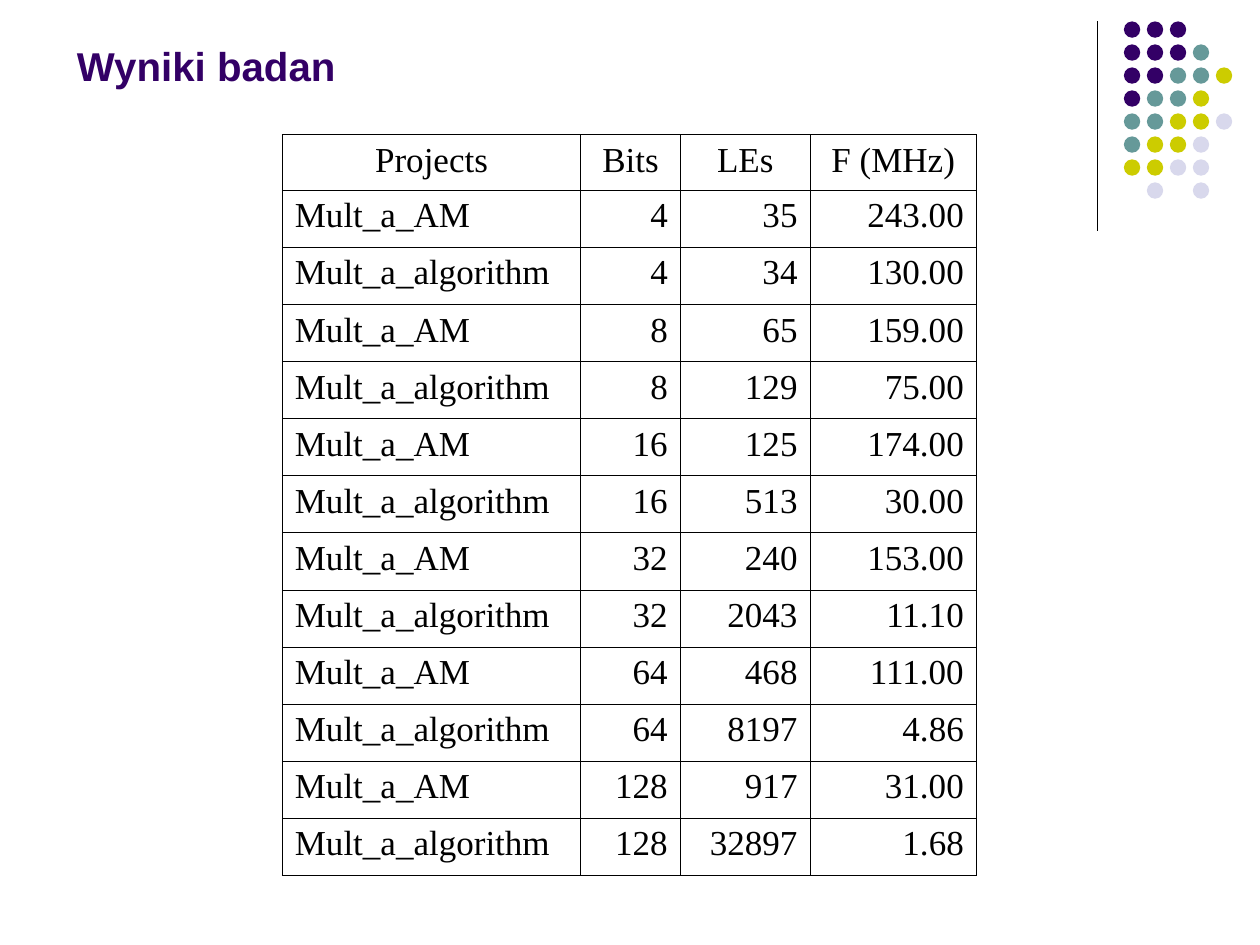
from lxml import etree
from pptx import Presentation
from pptx.dml.color import RGBColor
from pptx.enum import shapes, text
from pptx.oxml import ns
from pptx.util import Inches, Pt

TITLE = "Wyniki badan"
HEADINGS = ("Projects", "Bits", "LEs", "F (MHz)")
RESULTS = [
    ("Mult_a_AM", "4", "35", "243.00"),
    ("Mult_a_algorithm", "4", "34", "130.00"),
    ("Mult_a_AM", "8", "65", "159.00"),
    ("Mult_a_algorithm", "8", "129", "75.00"),
    ("Mult_a_AM", "16", "125", "174.00"),
    ("Mult_a_algorithm", "16", "513", "30.00"),
    ("Mult_a_AM", "32", "240", "153.00"),
    ("Mult_a_algorithm", "32", "2043", "11.10"),
    ("Mult_a_AM", "64", "468", "111.00"),
    ("Mult_a_algorithm", "64", "8197", "4.86"),
    ("Mult_a_AM", "128", "917", "31.00"),
    ("Mult_a_algorithm", "128", "32897", "1.68"),
]
COLUMN_WIDTHS = (2.37, 0.79, 1.03, 1.32)
TABLE_LEFT, TABLE_TOP, TABLE_HEIGHT, HEADING_HEIGHT = 2.24, 1.07, 5.88, 0.44

# One letter per dot, a space where the grid is empty
DOT_ROWS = ("PPP", "PPPT", "PPTTY", "PTTY", "TTYYL", "TYYL", "YYLL", " L L")
DOT_COLORS = {"P": "330066", "T": "669999", "Y": "CCCC00", "L": "D8D8EC"}
DOT_LEFT, DOT_TOP, DOT_SIZE = 8.92, 0.17, 0.13
DOT_PITCH = 0.73 / 4


def rgb(color):
    return RGBColor.from_string(color)


def add_run(paragraph, words, font_name, size, color, bold=False):
    run = paragraph.add_run()
    run.text = words
    font = run.font
    font.name, font.size, font.bold = font_name, Pt(size), bold
    font.color.rgb = rgb(color)


def add_divider(slide):
    divider = slide.shapes.add_connector(
        shapes.MSO_CONNECTOR.STRAIGHT,
        Inches(8.71), Inches(0.17), Inches(8.71), Inches(1.83))
    divider.line.color.rgb = rgb("000000")
    divider.line.width = Pt(0.75)
    etree.SubElement(divider._element.spPr, ns.qn("a:effectLst"))


def add_dots(slide):
    dots = slide.shapes.add_group_shape()
    for row, letters in enumerate(DOT_ROWS):
        for column, letter in enumerate(letters):
            if letter == " ":
                continue
            dot = dots.shapes.add_shape(
                shapes.MSO_SHAPE.OVAL,
                Inches(DOT_LEFT + column * DOT_PITCH),
                Inches(DOT_TOP + row * DOT_PITCH),
                Inches(DOT_SIZE), Inches(DOT_SIZE))
            dot.shadow.inherit = False
            dot.fill.solid()
            dot.fill.fore_color.rgb = rgb(DOT_COLORS[letter])
            dot.line.fill.background()


def format_title(title):
    title.left, title.top = Inches(0.51), Inches(0.28)
    title.width, title.height = Inches(8.25), Inches(0.48)
    frame = title.text_frame
    frame.auto_size = text.MSO_AUTO_SIZE.NONE
    frame.vertical_anchor = text.MSO_ANCHOR.BOTTOM
    paragraph = frame.paragraphs[0]
    paragraph.alignment = text.PP_ALIGN.LEFT
    add_run(paragraph, TITLE, "Arial", 23, "330066", bold=True)


def add_borders(cell, color, width):
    properties = cell._tc.get_or_add_tcPr()
    for index, side in enumerate(("lnL", "lnR", "lnT", "lnB")):
        border = etree.Element(ns.qn(f"a:{side}"), w=str(Pt(width)))
        fill = etree.SubElement(border, ns.qn("a:solidFill"))
        etree.SubElement(fill, ns.qn("a:srgbClr"), val=color)
        properties.insert(index, border)


def add_results(slide):
    rows = [HEADINGS] + RESULTS
    table = slide.shapes.add_table(
        len(rows), len(HEADINGS), Inches(TABLE_LEFT), Inches(TABLE_TOP),
        Inches(sum(COLUMN_WIDTHS)), Inches(TABLE_HEIGHT)).table
    table.first_row = table.horz_banding = False
    for column, width in zip(table.columns, COLUMN_WIDTHS):
        column.width = Inches(width)
    result_height = (TABLE_HEIGHT - HEADING_HEIGHT) / len(RESULTS)
    for r, values in enumerate(rows):
        table.rows[r].height = Inches(result_height if r else HEADING_HEIGHT)
        for c, value in enumerate(values):
            cell = table.cell(r, c)
            cell.fill.background()
            add_borders(cell, "000000", 0.45)
            paragraph = cell.text_frame.paragraphs[0]
            if r == 0:
                paragraph.alignment = text.PP_ALIGN.CENTER
            else:
                paragraph.alignment = text.PP_ALIGN.RIGHT if c else text.PP_ALIGN.LEFT
            add_run(paragraph, value, "Times New Roman", 20, "000000")


def main():
    deck = Presentation()
    deck.slide_width, deck.slide_height = Inches(10), Inches(7.5)
    slide = deck.slides.add_slide(deck.slide_layouts[5])
    add_divider(slide)
    add_dots(slide)
    format_title(slide.shapes.title)
    add_results(slide)
    deck.save("out.pptx")


if __name__ == "__main__":
    main()
